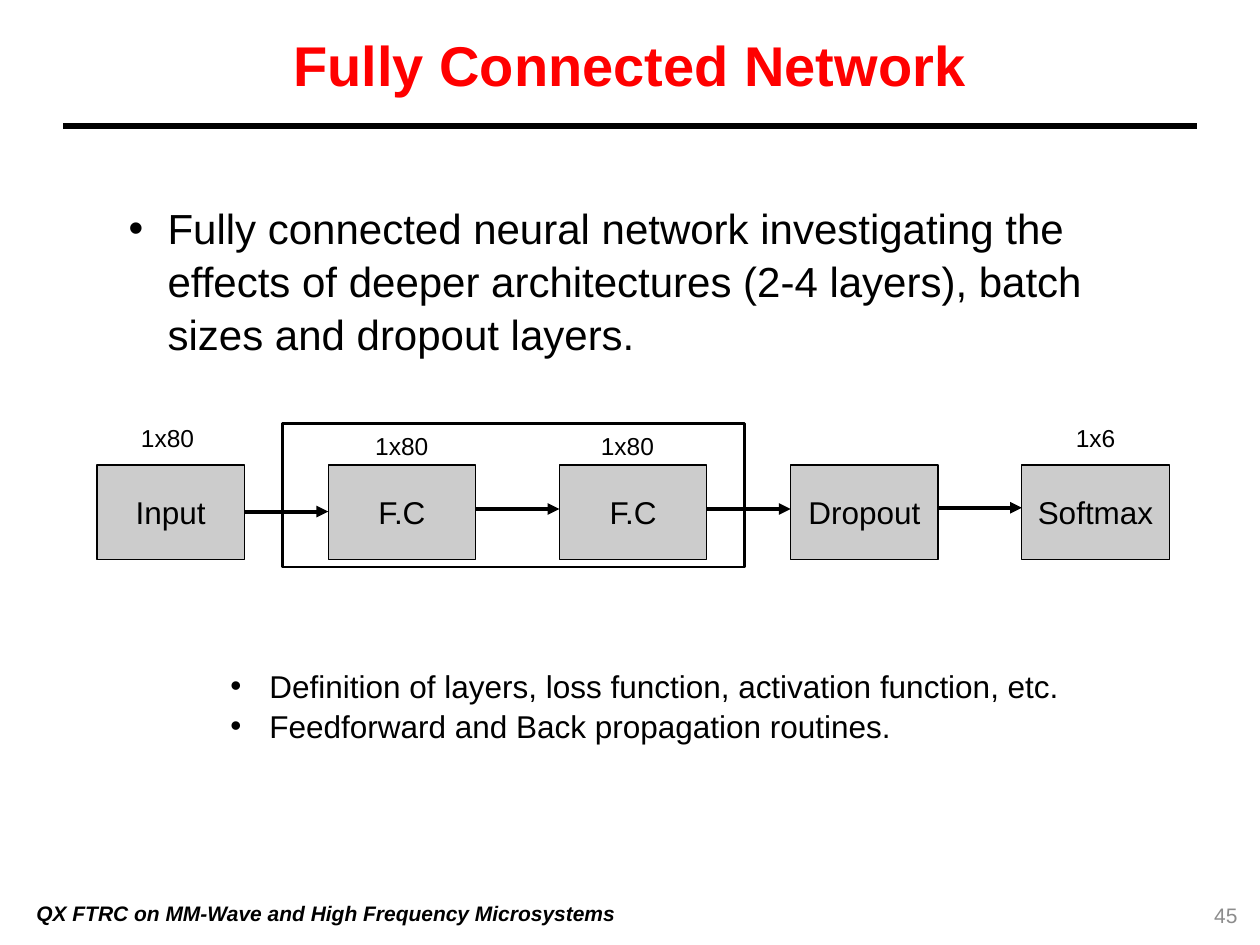
import pptx
import pptx.util
import pptx.dml.color
import pptx.enum.shapes
import pptx.enum.text
import pptx.oxml
import pptx.oxml.ns

Inches = pptx.util.Inches
RGB = pptx.dml.color.RGBColor
Align = pptx.enum.text.PP_ALIGN
Anchor = pptx.enum.text.MSO_ANCHOR

BLACK = RGB(0, 0, 0)
RED = RGB(0xFF, 0, 0)
SILVER = RGB(0xCC, 0xCC, 0xCC)
GRAY = RGB(0x8C, 0x8C, 0x8C)
NS = pptx.oxml.ns.nsdecls("a")


class Deck:
    font = {"name": "Arial", "bold": False, "italic": False}

    def __init__(self):
        self.prs = pptx.Presentation()
        self.prs.slide_width = Inches(10)
        self.prs.slide_height = Inches(7.5)
        self.slide = self.prs.slides.add_slide(self.prs.slide_layouts[1])
        self.shapes = self.slide.shapes

    def label(self, shape, lines, size, color=BLACK, align=Align.LEFT,
              anchor=Anchor.TOP, bullet=False, **style):
        frame = shape.text_frame
        frame.word_wrap = True
        frame.auto_size = pptx.enum.text.MSO_AUTO_SIZE.NONE
        frame.vertical_anchor = anchor
        frame.text = "\n".join(lines)
        look = {**self.font, "size": pptx.util.Pt(size), **style}
        for para in frame.paragraphs:
            para.alignment = align
            para.space_before = pptx.util.Pt(0)
            if bullet:
                para.line_spacing = 1.05
                self.dot(para)
            for key, value in look.items():
                setattr(para.font, key, value)
            para.font.color.rgb = color

    def dot(self, para):
        props = para._p.get_or_add_pPr()
        props.set("marL", str(Inches(0.31)))
        props.set("indent", str(-Inches(0.31)))
        props.append(pptx.oxml.parse_xml(f'<a:buFont {NS} typeface="Arial"/>'))
        props.append(pptx.oxml.parse_xml(f'<a:buChar {NS} char="•"/>'))

    def hold(self, index, spot, lines, size, **style):
        shape = self.slide.placeholders[index]
        for key, value in zip(("left", "top", "width", "height"), spot):
            setattr(shape, key, Inches(value))
        self.label(shape, lines, size, **style)

    def text(self, spot, lines, size, **style):
        shape = self.shapes.add_textbox(*map(Inches, spot))
        self.label(shape, lines, size, **style)

    def box(self, spot, weight, fill=None, name=None):
        shape = self.shapes.add_shape(
            pptx.enum.shapes.MSO_SHAPE.RECTANGLE, *map(Inches, spot))
        shape.shadow.inherit = False
        if fill is None:
            shape.fill.background()
        else:
            shape.fill.solid()
            shape.fill.fore_color.rgb = fill
        shape.line.color.rgb = BLACK
        shape.line.width = pptx.util.Pt(weight)
        if name:
            self.label(shape, [name], 18, align=Align.CENTER,
                       anchor=Anchor.MIDDLE)

    def line(self, left, right, y, weight, arrow=False):
        link = self.shapes.add_connector(
            pptx.enum.shapes.MSO_CONNECTOR.STRAIGHT,
            Inches(left), Inches(y), Inches(right), Inches(y))
        link.line.color.rgb = BLACK
        link.line.width = pptx.util.Pt(weight)
        props = link._element.spPr
        if arrow:
            props.find(pptx.oxml.ns.qn("a:ln")).append(
                pptx.oxml.parse_xml(f'<a:tailEnd {NS} type="triangle"/>'))
        props.append(pptx.oxml.parse_xml(f"<a:effectLst {NS}/>"))


def main():
    deck = Deck()
    deck.line(0.5, 9.5, 1, 4)
    deck.hold(0, (0, 0.17, 10, 0.67), ["Fully Connected Network"], 32,
              color=RED, align=Align.CENTER, anchor=Anchor.MIDDLE, bold=True)
    deck.hold(1, (0.92, 1.54, 8.5, 1.31), [
        "Fully connected neural network investigating the effects of deeper "
        "architectures (2-4 layers), batch sizes and dropout layers."],
        24, bullet=True)

    start, end, width = 0.77, 8.11, 1.17
    layers = ["Input", "F.C", "F.C", "Dropout", "Softmax"]
    step = (end - start) / (len(layers) - 1)
    for i, name in enumerate(layers):
        deck.box((start + i * step, 3.69, width, 0.75), 0.75, SILVER, name)

    sizes = [(1.02, 3.31, "1x80"), (2.88, 3.37, "1x80"),
             (4.67, 3.37, "1x80"), (8.44, 3.31, "1x6")]
    for left, top, size in sizes:
        deck.text((left, top, 0.67, 0.34), [size], 14)

    for i, y in enumerate([4.06, 4.04, 4.04, 4.03]):
        left = start + i * step
        deck.line(left + width, left + step, y, 2.25, arrow=True)
    deck.box((2.24, 3.36, 3.67, 1.14), 1.5)

    deck.text((1.73, 5.23, 6.88, 0.71), [
        "Definition of layers, loss function, activation function, etc.",
        "Feedforward and Back propagation routines."], 18, bullet=True)
    deck.text((0.19, 7.05, 4.83, 0.4),
              ["QX FTRC on MM-Wave and High Frequency Microsystems"], 12,
              anchor=Anchor.MIDDLE, bold=True, italic=True)
    deck.text((7.67, 7.06, 2.25, 0.4), ["45"], 12, color=GRAY,
              align=Align.RIGHT, anchor=Anchor.MIDDLE)
    deck.prs.save("out.pptx")


if __name__ == "__main__":
    main()
